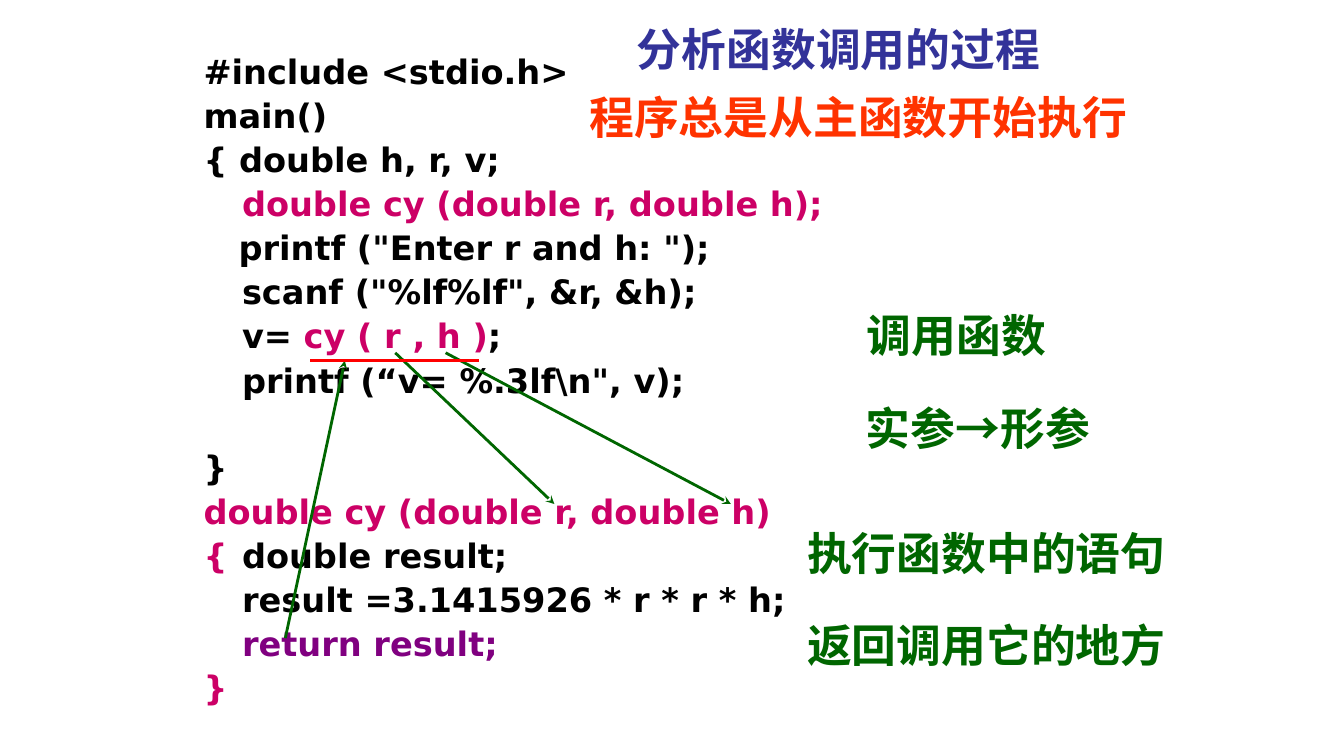
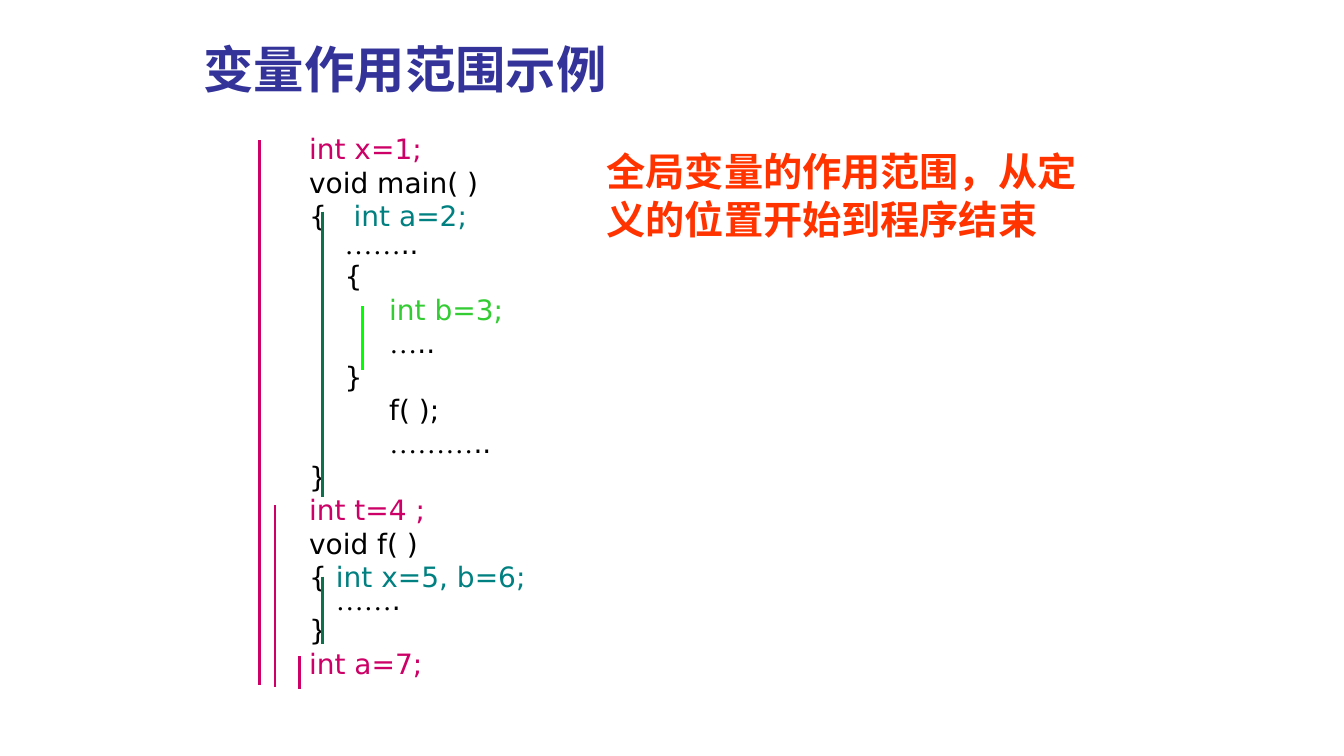
from itertools import groupby

from pptx import Presentation
from pptx.dml.color import RGBColor
from pptx.enum import shapes, text
from pptx.oxml.ns import qn
from pptx.util import Cm, Pt
from lxml import etree

BLACK = RGBColor(0x00, 0x00, 0x00)
NAVY = RGBColor(0x33, 0x33, 0x99)
ORANGE = RGBColor(0xFF, 0x33, 0x00)
RED = RGBColor(0xFF, 0x00, 0x00)
MAGENTA = RGBColor(0xCC, 0x00, 0x66)
PURPLE = RGBColor(0x80, 0x00, 0x80)
DARK_GREEN = RGBColor(0x00, 0x66, 0x00)
TEAL = RGBColor(0x00, 0x80, 0x80)
GREEN = RGBColor(0x33, 0xCC, 0x33)
LIME = RGBColor(0x00, 0xFF, 0x00)
PINE = RGBColor(0x0D, 0x71, 0x4D)

CODE_FONT = "DejaVu Sans"
LABEL_FONT = "Arial"
DOTS_FONT = "Times New Roman"
LINE_HEIGHT = 1.164  # natural line height of CODE_FONT, in ems
HANGING = Cm(0.97)

# Each code line is a list of (text, colour) parts.
CALL_CODE = [
    [("#include <stdio.h>", BLACK)],
    [("main()", BLACK)],
    [("{ double h, r, v;", BLACK)],
    [("\tdouble cy (double r, double h);", MAGENTA)],
    [('   printf ("Enter r and h: ");', BLACK)],
    [('\tscanf ("%lf%lf", &r, &h);', BLACK)],
    [("\tv=", BLACK), (" cy ( r , h )", MAGENTA), (";", BLACK)],
    [('\tprintf (“v= %.3lf\\n", v);', BLACK)],
    [("}", BLACK)],
    [("double cy (double r, double h)", MAGENTA)],
    [("{", MAGENTA), ("\tdouble result;", BLACK)],
    [("\tresult =3.1415926 * r * r * h;", BLACK)],
    [("\treturn result;", PURPLE)],
    [("}", MAGENTA)],
]
MAIN_END = 8

SCOPE_CODE = [
    [("int x=1;", MAGENTA)],
    [("void main( )", BLACK)],
    [("{   ", BLACK), ("int a=2;", TEAL)],
    [("    ……..", BLACK)],
    [("    {", BLACK)],
    [("         int b=3;", GREEN)],
    [("         …..", BLACK)],
    [("    }", BLACK)],
    [("         f( );", BLACK)],
    [("         ………..", BLACK)],
    [("}", BLACK)],
    [("int t=4 ;", MAGENTA)],
    [("void f( )", BLACK)],
    [("{ ", BLACK), ("int x=5, b=6;", TEAL)],
    [("   …….", BLACK)],
    [("}", BLACK)],
    [("int a=7;", MAGENTA)],
]


def add_run(p, content, size, color, font=CODE_FONT, bold=False):
    r = p.add_run()
    r.text = content
    r.font.size = Pt(size)
    r.font.name = font
    r.font.bold = bold
    r.font.color.rgb = color


def add_frame(s, box, wrap=True, anchor=text.MSO_ANCHOR.TOP):
    tf = s.shapes.add_textbox(*map(Cm, box)).text_frame
    tf.word_wrap = wrap
    tf.vertical_anchor = anchor
    return tf


def add_heading(s, box, content, size=32, color=NAVY, anchor=text.MSO_ANCHOR.BOTTOM):
    tf = add_frame(s, box, anchor=anchor)
    add_run(tf.paragraphs[0], content, size, color, bold=True)


def add_label(s, box, content):
    p = add_frame(s, box, wrap=False).paragraphs[0]
    p.alignment = text.PP_ALIGN.CENTER
    add_run(p, content, 32, DARK_GREEN, LABEL_FONT, bold=True)


def add_line(s, box, start, end, color, arrow=None):
    """Draw a line between two points given from the corner of box; arrow is headEnd or tailEnd."""
    left, top = box[:2]
    points = [Cm(o + d) for point in (start, end) for o, d in zip((left, top), point)]
    line = s.shapes.add_connector(shapes.MSO_CONNECTOR.STRAIGHT, *points)
    line.line.color.rgb = color
    line.line.width = Pt(2)
    if arrow:
        etree.SubElement(line.line._get_or_add_ln(), qn("a:" + arrow), type="stealth")
    etree.SubElement(line._element.spPr, qn("a:effectLst"))


def add_code(s, box, lines, size, bold=False, spacing=0.9, tight=None, gap_before=None):
    """Fill box with code; tight maps line numbers to spacings, gap_before skips one line."""
    tf = add_frame(s, box)
    line_height = size * LINE_HEIGHT
    for i, parts in enumerate(lines):
        p = tf.add_paragraph() if i else tf.paragraphs[0]
        p._p.get_or_add_pPr().set("marL", str(HANGING))
        p._p.get_or_add_pPr().set("indent", str(-HANGING))
        p.line_spacing = (tight or {}).get(i, spacing)
        before = 0.2 * line_height if i else 0
        if i == gap_before:
            before += (0.2 + spacing) * line_height
        p.space_before = Pt(before)
        for content, color in parts:
            for dots, chars in groupby(content, lambda c: c == "…"):
                font = DOTS_FONT if dots else CODE_FONT
                add_run(p, "".join(chars), size, color, font, bold)


def build_call_slide(s):
    box = (4.88, 1.27, 22.17, 17.32)
    add_heading(s, (15.8, 0.4, 13.82, 1.63), "分析函数调用的过程")
    add_heading(s, (14.6, 2.12, 14.6, 1.63), "程序总是从主函数开始执行", color=ORANGE)
    add_code(s, box, CALL_CODE, 24, bold=True, gap_before=MAIN_END)
    for left, top, width, content in (
        (21.56, 7.62, 5.1, "调用函数"),
        (21.54, 9.98, 6.22, "实参→形参"),
        (20.02, 13.13, 9.68, "执行函数中的语句"),
        (20.02, 15.45, 9.68, "返回调用它的地方"),
    ):
        add_label(s, (left, top, width, 1.63), content)
    for start, end, color, arrow in (
        ((5.08, 7.62), (9.09, 11.43), DARK_GREEN, "tailEnd"),
        ((6.35, 7.62), (13.54, 11.43), DARK_GREEN, "tailEnd"),
        ((3.81, 7.82), (2.31, 14.81), DARK_GREEN, "headEnd"),
        ((2.94, 7.82), (7.19, 7.82), RED, None),
    ):
        add_line(s, box, start, end, color, arrow)


def build_scope_slide(s):
    box = (7.54, 3.28, 17.4, 15.24)
    add_heading(s, (4.88, 0.84, 11.13, 1.78), "变量作用范围示例", size=36)
    add_code(s, box, SCOPE_CODE, 20, spacing=0.8, tight={0: 0.9, 3: 0.6, 14: 0.4})
    for x, top, bottom, color in (
        (-1.01, 0.25, 13.99, MAGENTA),
        (-0.61, 9.45, 14.04, MAGENTA),
        (0, 13.26, 14.09, MAGENTA),
        (0.59, 2.05, 9.24, PINE),
        (0.59, 11.25, 12.95, PINE),
        (1.6, 4.44, 6.04, LIME),
    ):
        add_line(s, box, (x, top), (x, bottom), color)
    add_heading(s, (15.04, 3.6, 12.9, 2.62), "全局变量的作用范围，从定义的位置开始到程序结束",
                size=28, color=ORANGE, anchor=text.MSO_ANCHOR.TOP)


def main():
    prs = Presentation()
    prs.slide_width, prs.slide_height = Cm(33.87), Cm(19.05)
    for build in (build_call_slide, build_scope_slide):
        build(prs.slides.add_slide(prs.slide_layouts[6]))
    prs.save("out.pptx")


if __name__ == "__main__":
    main()
